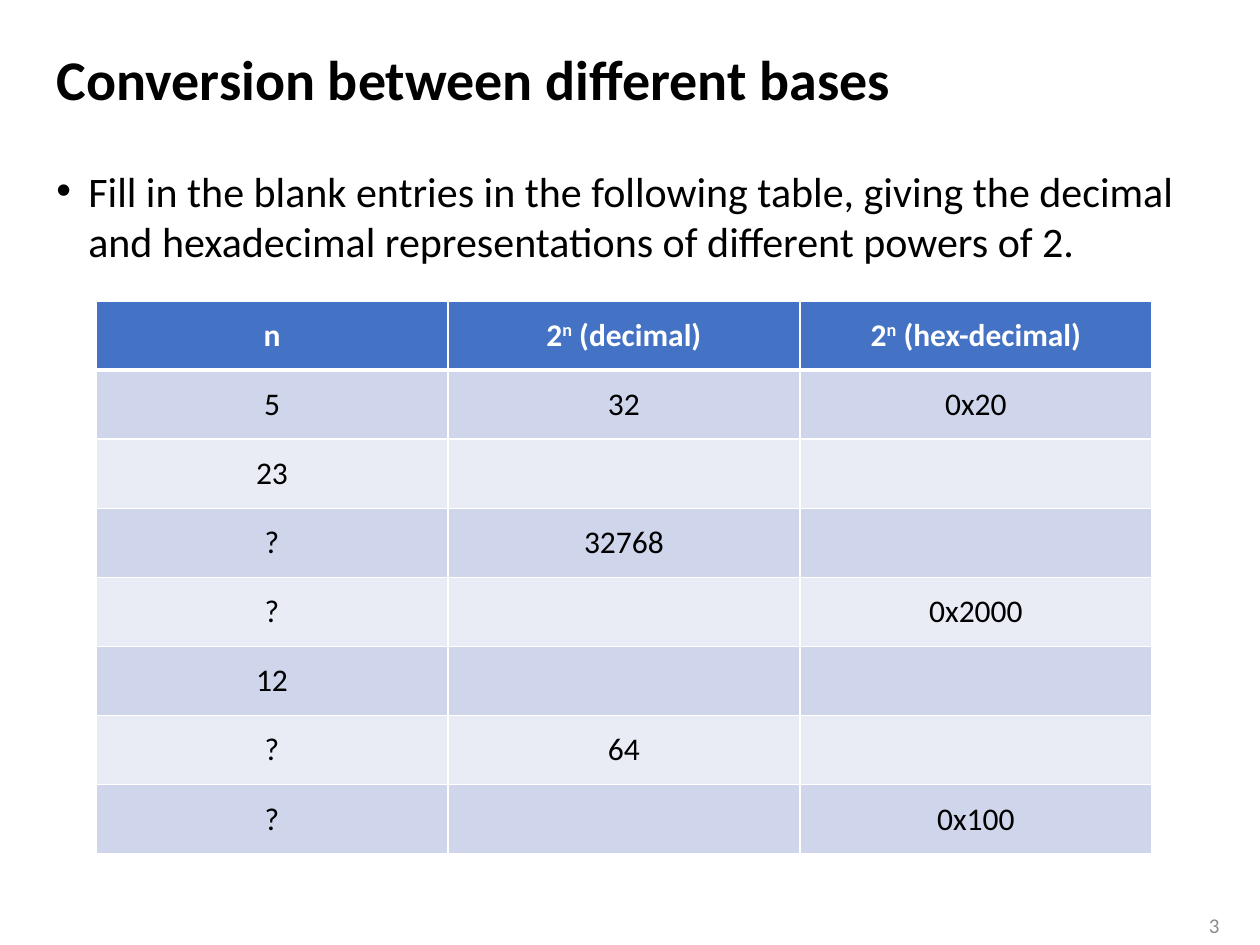
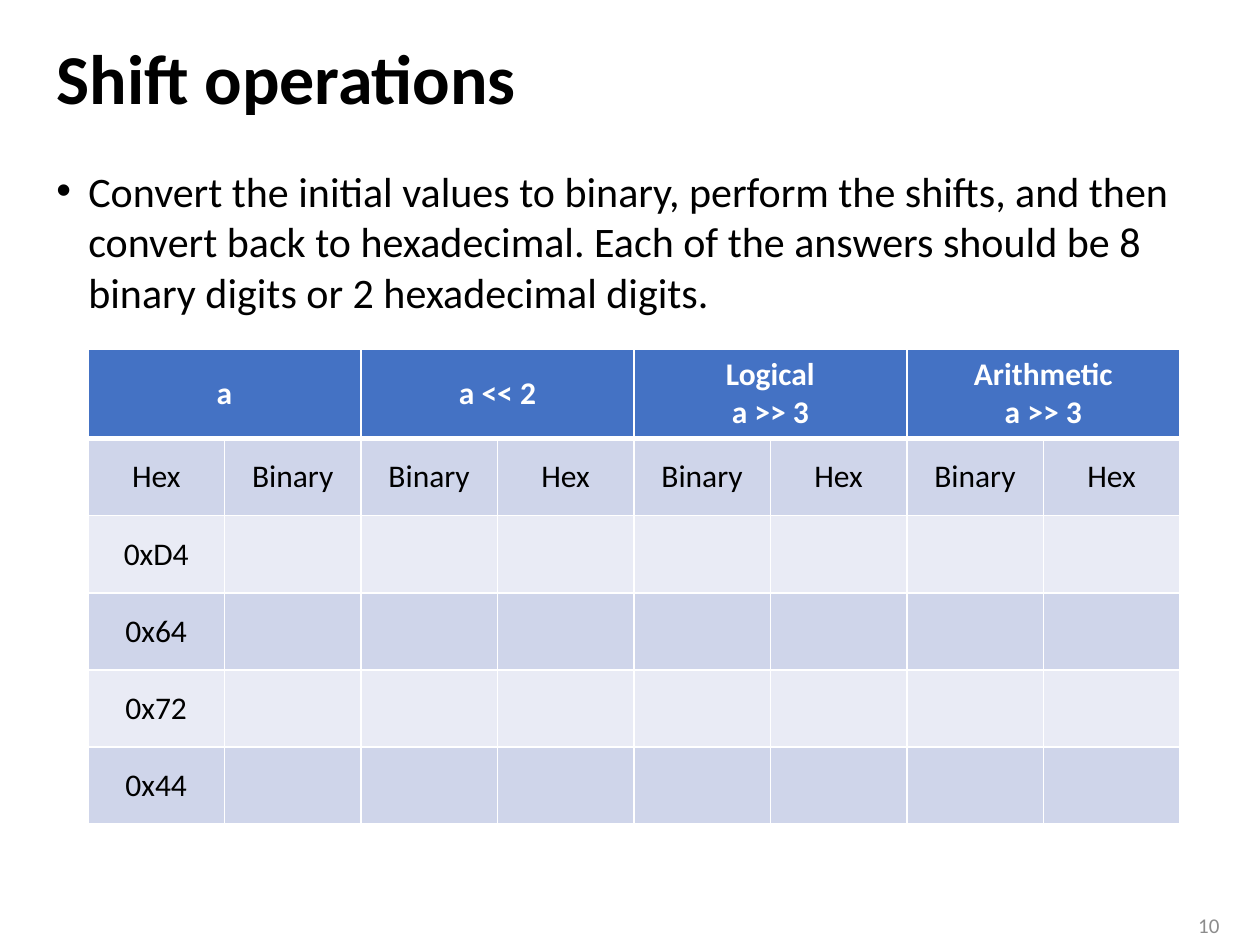
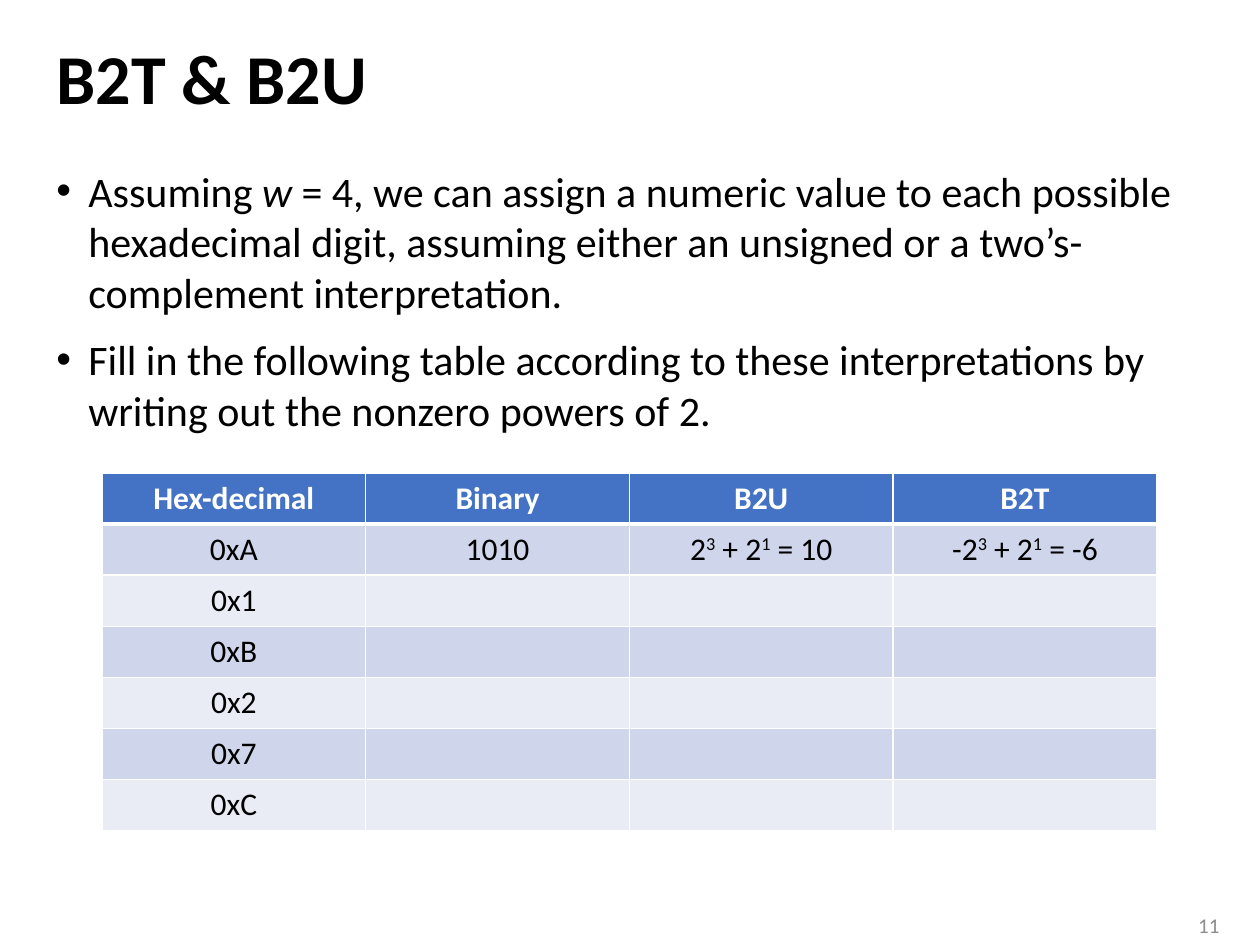
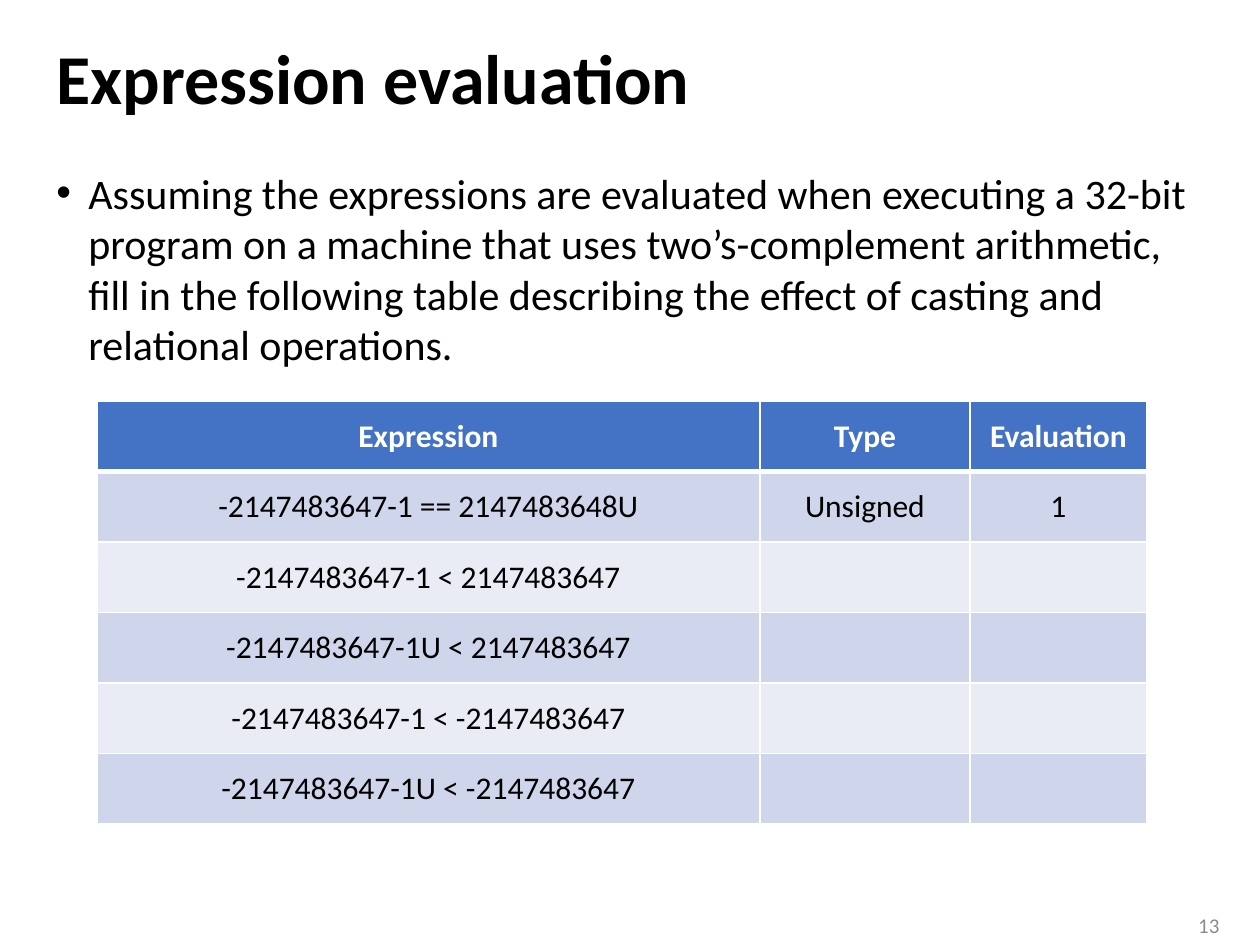
from lxml import etree
from pptx import Presentation
from pptx.dml.color import RGBColor
from pptx.enum.text import MSO_ANCHOR, MSO_AUTO_SIZE, PP_ALIGN
from pptx.oxml.ns import qn
from pptx.util import Emu, Pt

LEFT, MID, RIGHT = PP_ALIGN.LEFT, PP_ALIGN.CENTER, PP_ALIGN.RIGHT
TOP, CENTRE = MSO_ANCHOR.TOP, MSO_ANCHOR.MIDDLE
FIXED = MSO_AUTO_SIZE.NONE
SCALE = 914400 / 126
FACE = "Calibri"
COLORS = {
    "ink": "000000",
    "paper": "FFFFFF",
    "head": "4472C4",
    "dark": "CFD5EA",
    "light": "E9EBF5",
    "page": "8C8C8C",
}


def px(n):
    return Emu(round(n * SCALE))


def tint(name):
    return RGBColor.from_string(COLORS[name])


def add_run(para, text, size, color, bold, slant, raised):
    run = para.add_run()
    run.text = text
    font = run.font
    font.name, font.size, font.bold, font.italic = FACE, Pt(size), bold, slant
    font.color.rgb = tint(color)
    if raised:
        run._r.get_or_add_rPr().set("baseline", "30000")


def add_bullet(para):
    props = para._p.get_or_add_pPr()
    indent = px(32)
    props.set("marL", str(indent))
    props.set("indent", str(-indent))
    etree.SubElement(props, qn("a:buFont"), typeface="Arial")
    etree.SubElement(props, qn("a:buChar"), char="•")


def write(frame, text, size=18, color="ink", bold=False, align=LEFT,
          bullet=False, gap=0, line=1.0):
    # ^ encloses superscripts and * encloses italics
    for n, words in enumerate(text.split("\n")):
        para = frame.add_paragraph() if n else frame.paragraphs[0]
        if bullet:
            add_bullet(para)
        para.alignment = align
        para.line_spacing = line
        para.space_before = Pt(gap if n else 0)
        for i, part in enumerate(words.split("^")):
            for j, bit in enumerate(part.split("*")):
                if bit:
                    add_run(para, bit, size, color, bold, j % 2 == 1, i % 2 == 1)


def place(shape, x, y, w, h, anchor):
    shape.left, shape.top, shape.width, shape.height = map(px, (x, y, w, h))
    frame = shape.text_frame
    frame.word_wrap = True
    frame.auto_size = FIXED
    frame.vertical_anchor = anchor
    return frame


def add_box(slide, x, y, w, h, text, anchor=TOP, **style):
    box = slide.shapes.add_textbox(0, 0, 0, 0)
    write(place(box, x, y, w, h, anchor), text, **style)


def add_page(deck, title, body, page, size=40, top=159):
    slide = deck.slides.add_slide(deck.slide_layouts[5])
    frame = place(slide.shapes.title, 44, 24, 1171, 116, CENTRE)
    write(frame, title, size=size, bold=True, line=0.9)
    add_box(slide, 44, top, 1171, 735, body, size=24, bullet=True, gap=10)
    add_box(slide, 1168, 906, 64, 39, str(page), anchor=CENTRE,
            size=12, color="page", align=RIGHT)
    return slide


def add_edges(cell, row):
    props = cell._tc.get_or_add_tcPr()
    widths = {"L": 1, "R": 1, "T": 3 if row == 1 else 1, "B": 1 if row else 3}
    for n, (side, width) in enumerate(widths.items()):
        edge = etree.Element(qn(f"a:ln{side}"), w=str(Pt(width)))
        fill = etree.SubElement(edge, qn("a:solidFill"))
        etree.SubElement(fill, qn("a:srgbClr"), val=COLORS["paper"])
        props.insert(n, edge)


def add_grid(slide, x, y, w, h, rows, cols, widths=()):
    frame = slide.shapes.add_table(len(rows), cols, *map(px, (x, y, w, h)))
    table = frame.table
    table.horz_banding = False
    for col, width in zip(table.columns, widths):
        col.width = px(width)
    for r, row in enumerate(rows):
        shade = "head" if r == 0 else "dark" if r % 2 else "light"
        for c in range(cols):
            cell = table.cell(r, c)
            cell.fill.solid()
            cell.fill.fore_color.rgb = tint(shade)
            cell.vertical_anchor = CENTRE
            add_edges(cell, r)
        span = cols // len(row) if r == 0 else 1
        for c, text in enumerate(row):
            cell = table.cell(r, c * span)
            if span > 1:
                cell.merge(table.cell(r, (c + 1) * span - 1))
            write(cell.text_frame, text, bold=r == 0, align=MID,
                  color="ink" if r else "paper")


def add_bases(deck):
    slide = add_page(
        deck, "Conversion between different bases",
        "Fill in the blank entries in the following table, giving the decimal "
        "and hexadecimal representations of different powers of 2.", 3, size=32)
    rows = [
        ["n", "2^n^ (decimal)", "2^n^ (hex-decimal)"],
        ["5", "32", "0x20"],
        ["23"],
        ["?", "32768"],
        ["?", "", "0x2000"],
        ["12"],
        ["?", "64"],
        ["?", "", "0x100"],
    ]
    add_grid(slide, 96, 301, 1056, 553, rows, 3)


def add_shifts(deck):
    slide = add_page(
        deck, "Shift operations",
        "Convert the initial values to binary, perform the shifts, and then "
        "convert back to hexadecimal. Each of the answers should be 8 binary "
        "digits or 2 hexadecimal digits.", 10)
    rows = [
        ["a", "a << 2", "Logical\na >> 3", "Arithmetic\na >> 3"],
        ["Hex", "Binary"] + ["Binary", "Hex"] * 3,
        ["0xD4"], ["0x64"], ["0x72"], ["0x44"],
    ]
    add_grid(slide, 88, 349, 1092, 463, rows, 8)


def add_signs(deck):
    slide = add_page(
        deck, "B2T & B2U",
        "Assuming *w *= 4, we can assign a numeric value to each possible "
        "hexadecimal digit, assuming either an unsigned or a "
        "two’s-complement interpretation.\n"
        "Fill in the following table according to these interpretations by "
        "writing out the nonzero powers of 2.", 11)
    rows = [
        ["Hex-decimal", "Binary", "B2U", "B2T"],
        ["0xA", "1010", "2^3^ + 2^1^ = 10", "-2^3^ + 2^1^ = -6"],
        ["0x1"], ["0xB"], ["0x2"], ["0x7"], ["0xC"],
    ]
    add_grid(slide, 102, 473, 1055, 358, rows, 4)


def add_casts(deck):
    slide = add_page(
        deck, "Expression evaluation",
        "Assuming the expressions are evaluated when executing a 32-bit "
        "program on a machine that uses two’s-complement arithmetic, fill in "
        "the following table describing the effect of casting and relational "
        "operations.", 13, top=161)
    rows = [
        ["Expression", "Type", "Evaluation"],
        ["-2147483647-1 == 2147483648U", "Unsigned", "1"],
        ["-2147483647-1 < 2147483647"],
        ["-2147483647-1U < 2147483647"],
        ["-2147483647-1 < -2147483647"],
        ["-2147483647-1U < -2147483647"],
    ]
    add_grid(slide, 97, 401, 1050, 423, rows, 3, widths=(663, 210, 177))


def main():
    deck = Presentation()
    deck.slide_width, deck.slide_height = px(1260), px(945)
    add_bases(deck)
    add_shifts(deck)
    add_signs(deck)
    add_casts(deck)
    deck.save("out.pptx")


if __name__ == "__main__":
    main()
